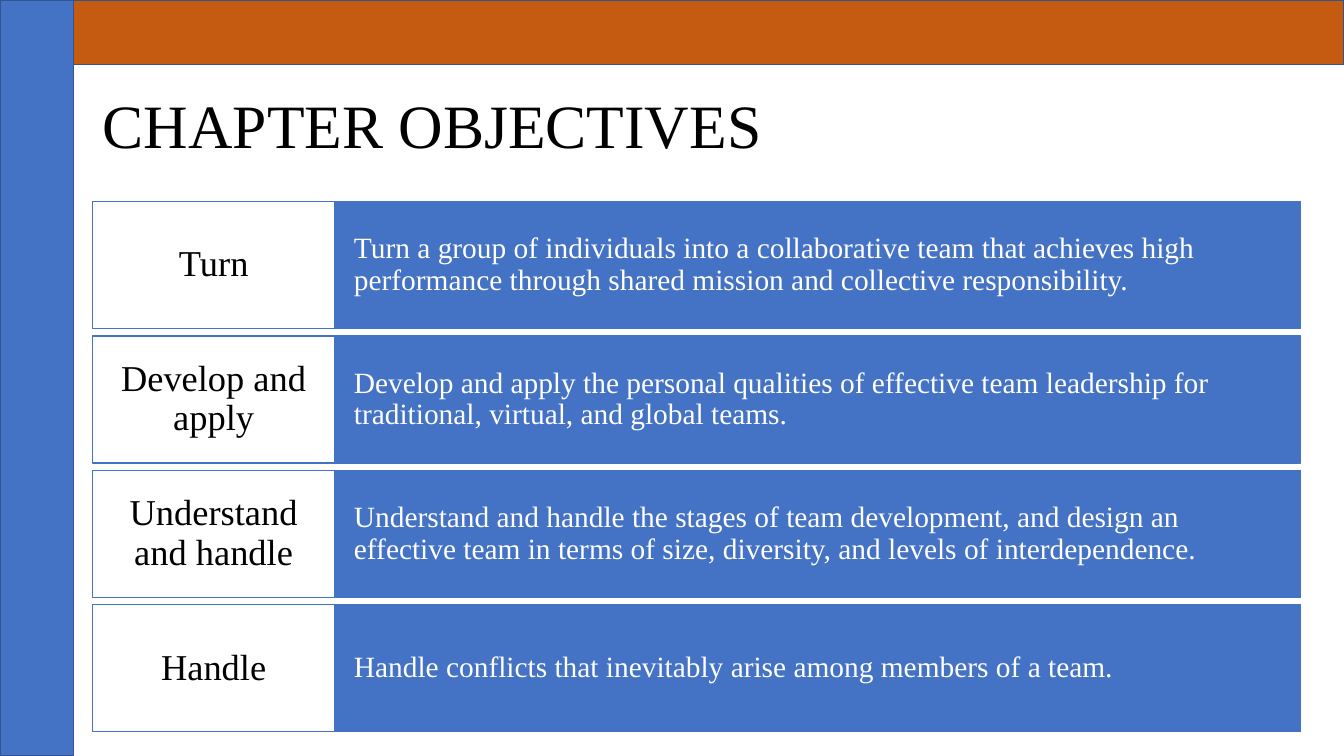
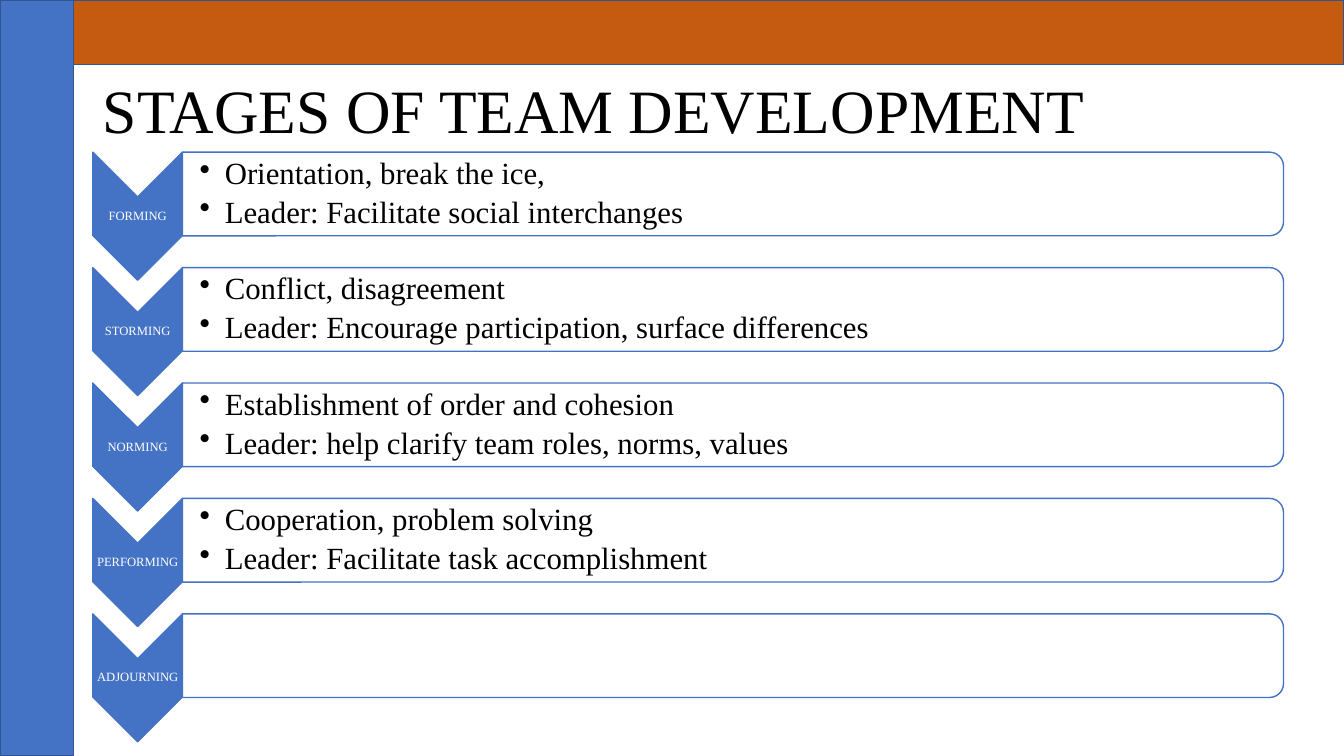
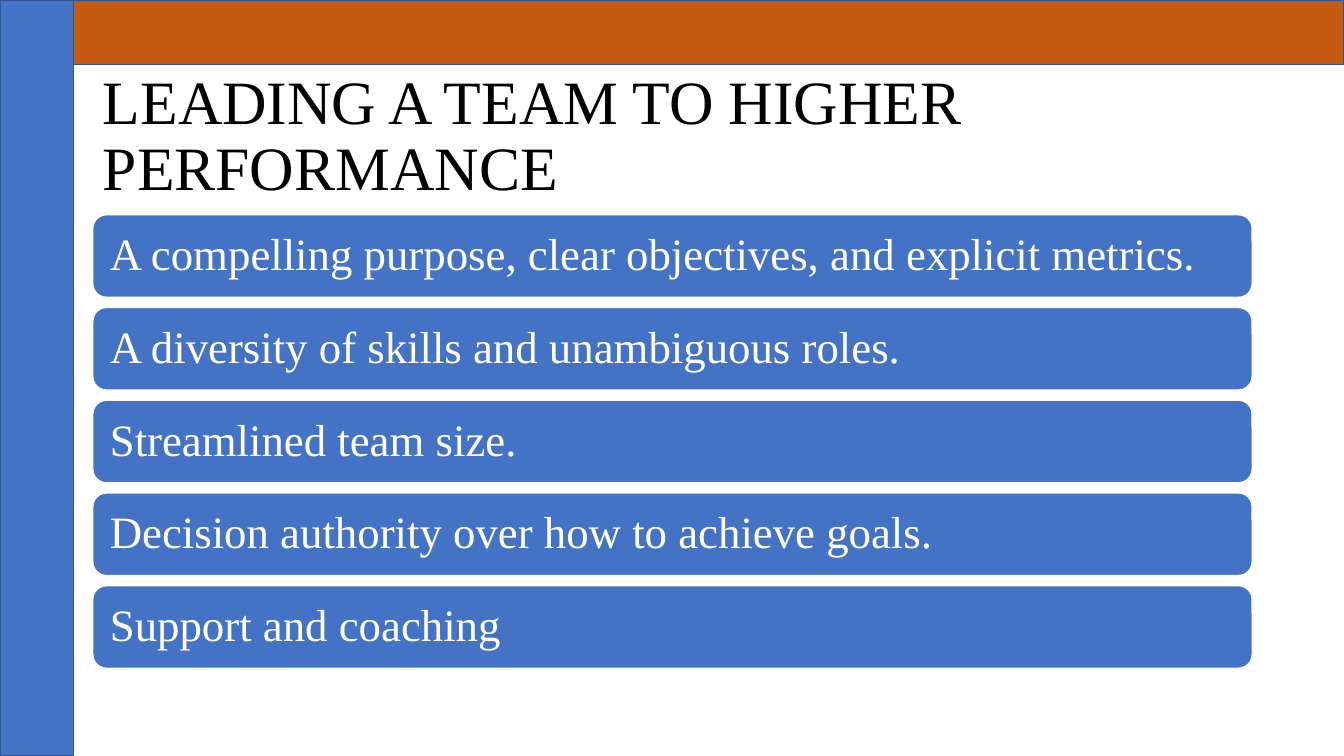
from lxml.etree import SubElement
from pptx import Presentation
from pptx.dml.color import RGBColor
from pptx.enum.shapes import MSO_SHAPE
from pptx.enum.text import MSO_ANCHOR, MSO_AUTO_SIZE, PP_ALIGN
from pptx.oxml.ns import qn
from pptx.util import Inches, Pt

COLORS = {
    "blue": "4472C4",
    "orange": "C55A11",
    "outline": "325491",
    "white": "FFFFFF",
    "black": "000000",
}
FONT = "Times New Roman"
SLIDE_WIDTH, SLIDE_HEIGHT = 13.33, 7.5
SIDE_BAND, TOP_BAND = 0.73, 0.64
LEFT = 0.92

OBJECTIVES = [
    ("Turn", "Turn a group of individuals into a collaborative team that achieves high "
             "performance through shared mission and collective responsibility."),
    ("Develop and apply", "Develop and apply the personal qualities of effective team "
                          "leadership for traditional, virtual, and global teams."),
    ("Understand and handle", "Understand and handle the stages of team development, and design "
                              "an effective team in terms of size, diversity, and levels of "
                              "interdependence."),
    ("Handle", "Handle conflicts that inevitably arise among members of a team."),
]
STAGES = [
    ("FORMING", ["Orientation, break the ice,", "Leader: Facilitate social interchanges"]),
    ("STORMING", ["Conflict, disagreement",
                  "Leader: Encourage participation, surface differences"]),
    ("NORMING", ["Establishment of order and cohesion",
                 "Leader: help clarify team roles, norms, values"]),
    ("PERFORMING", ["Cooperation, problem solving", "Leader: Facilitate task accomplishment"]),
    ("ADJOURNING", []),
]
PRACTICES = [
    "A compelling purpose, clear objectives, and explicit metrics.",
    "A diversity of skills and unambiguous roles.",
    "Streamlined team size.",
    "Decision authority over how to achieve goals.",
    "Support and coaching",
]


def rgb(name):
    return RGBColor.from_string(COLORS[name])


def add_bullet(paragraph):
    properties = paragraph._p.get_or_add_pPr()
    properties.set("marL", str(Inches(0.25)))
    properties.set("indent", str(-Inches(0.25)))
    SubElement(properties, qn("a:buChar")).set("char", "•")


def write_text(shape, lines, size, color="white", align=PP_ALIGN.LEFT,
               inset=(0.1, 0.05), bullets=False, space_after=0):
    """Fill a shape with one paragraph per line; inset is (horizontal, vertical) inches."""
    frame = shape.text_frame
    frame.word_wrap = True
    frame.auto_size = MSO_AUTO_SIZE.NONE
    frame.vertical_anchor = MSO_ANCHOR.MIDDLE
    frame.margin_left = frame.margin_right = Inches(inset[0])
    frame.margin_top = frame.margin_bottom = Inches(inset[1])
    for index, line in enumerate(lines):
        paragraph = frame.add_paragraph() if index else frame.paragraphs[0]
        paragraph.alignment = align
        paragraph.line_spacing = 0.9
        paragraph.space_after = Pt(space_after)
        if bullets:
            add_bullet(paragraph)
        run = paragraph.add_run()
        run.text = line
        run.font.name = FONT
        run.font.size = Pt(size)
        run.font.color.rgb = rgb(color)


def add_block(slide, kind, left, top, width, height, fill="blue", line="blue", turned=False):
    """Add a preset shape; a turned one is rotated 90° yet fills the given box."""
    if turned:
        left, top = left + (width - height) / 2, top + (height - width) / 2
        width, height = height, width
    shape = slide.shapes.add_shape(kind, Inches(left), Inches(top), Inches(width), Inches(height))
    shape.rotation = 90 if turned else 0
    shape.shadow.inherit = False
    shape.fill.solid()
    shape.fill.fore_color.rgb = rgb(fill)
    shape.line.color.rgb = rgb(line)
    shape.line.width = Pt(1)
    return shape


def add_label(slide, left, top, width, height, lines, size, **text_format):
    box = slide.shapes.add_textbox(Inches(left), Inches(top), Inches(width), Inches(height))
    write_text(box, lines, size, **text_format)


def add_titled_slide(presentation, title, top, width=11.5):
    slide = presentation.slides.add_slide(presentation.slide_layouts[5])
    placeholder = slide.shapes.title
    placeholder.left, placeholder.top = Inches(LEFT), Inches(top)
    placeholder.width, placeholder.height = Inches(width), Inches(1.45)
    write_text(placeholder, [title], 44, color="black")
    return slide


def add_bands(slide):
    add_block(slide, MSO_SHAPE.RECTANGLE, 0, 0, SIDE_BAND, SLIDE_HEIGHT, line="outline")
    add_block(slide, MSO_SHAPE.RECTANGLE, SIDE_BAND, 0, SLIDE_WIDTH - SIDE_BAND, TOP_BAND,
              fill="orange", line="outline")


def build_objectives(presentation):
    slide = add_titled_slide(presentation, "CHAPTER OBJECTIVES", 0.55)
    first_top, pitch, height = 2, 4 / 3, 1.26
    verb_width, detail_width = 2.4, 9.58
    for row, (verb, detail) in enumerate(OBJECTIVES):
        top = first_top + row * pitch
        detail_block = add_block(slide, MSO_SHAPE.RECTANGLE, LEFT + verb_width, top,
                                 detail_width, height)
        write_text(detail_block, [detail], 21, inset=(0.19, 0.32))
        verb_block = add_block(slide, MSO_SHAPE.RECTANGLE, LEFT, top, verb_width, height,
                               fill="white")
        write_text(verb_block, [verb], 26, color="black", align=PP_ALIGN.CENTER,
                   inset=(0.13, 0.12))
    add_bands(slide)


def build_stages(presentation):
    slide = add_titled_slide(presentation, "STAGES OF TEAM DEVELOPMENT", 0.4)
    first_top, pitch = 1.51, 1.145
    chevron_width, chevron_height = 0.89, 1.27
    bar_left, bar_width, bar_height = LEFT + chevron_width, 10.92, 0.83
    notch = chevron_width / 2
    for row, (stage, points) in enumerate(STAGES):
        top = first_top + row * pitch
        add_block(slide, MSO_SHAPE.CHEVRON, LEFT, top, chevron_width, chevron_height, turned=True)
        add_label(slide, LEFT, top + notch, chevron_width, chevron_height - 2 * notch, [stage], 9,
                  align=PP_ALIGN.CENTER, inset=(0.01, 0.01))
        add_block(slide, MSO_SHAPE.ROUND_2_SAME_RECTANGLE, bar_left, top, bar_width, bar_height,
                  fill="white", turned=True)
        if points:
            add_label(slide, bar_left, top + 0.04, bar_width - 0.04, bar_height - 0.08, points, 22,
                      color="black", inset=(0.17, 0.02), bullets=True, space_after=4)
    add_bands(slide)


def build_practices(presentation):
    slide = add_titled_slide(presentation, "LEADING A TEAM TO HIGHER PERFORMANCE", 0.64, 12.27)
    first_top, pitch, height = 2.13, 0.92, 0.82
    for row, practice in enumerate(PRACTICES):
        block = add_block(slide, MSO_SHAPE.ROUNDED_RECTANGLE, LEFT, first_top + row * pitch,
                          11.5, height, line="white")
        write_text(block, [practice], 32, inset=(0.13, 0.13))
    add_bands(slide)


def main():
    presentation = Presentation()
    presentation.slide_width = Inches(SLIDE_WIDTH)
    presentation.slide_height = Inches(SLIDE_HEIGHT)
    build_objectives(presentation)
    build_stages(presentation)
    build_practices(presentation)
    presentation.save("out.pptx")


if __name__ == "__main__":
    main()
